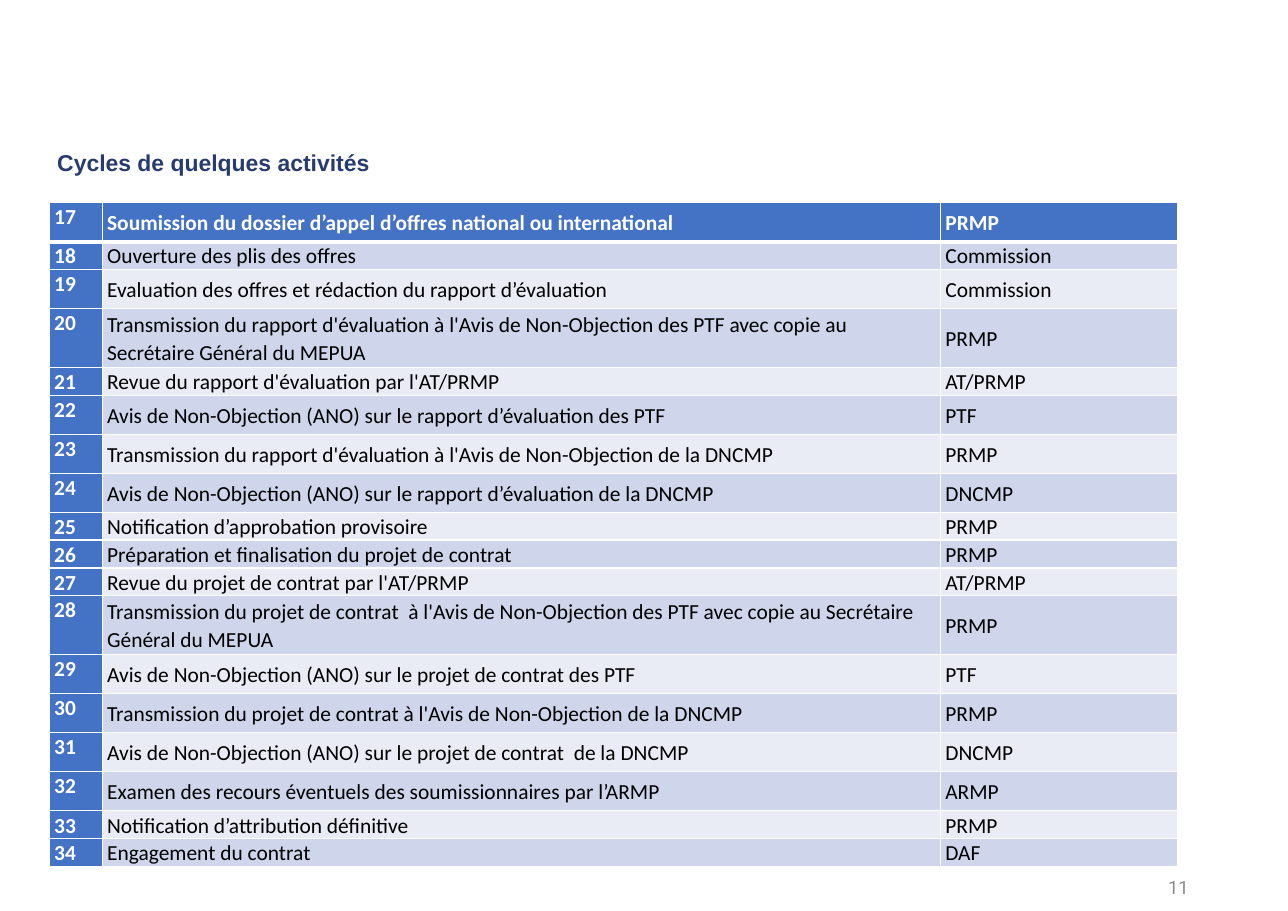
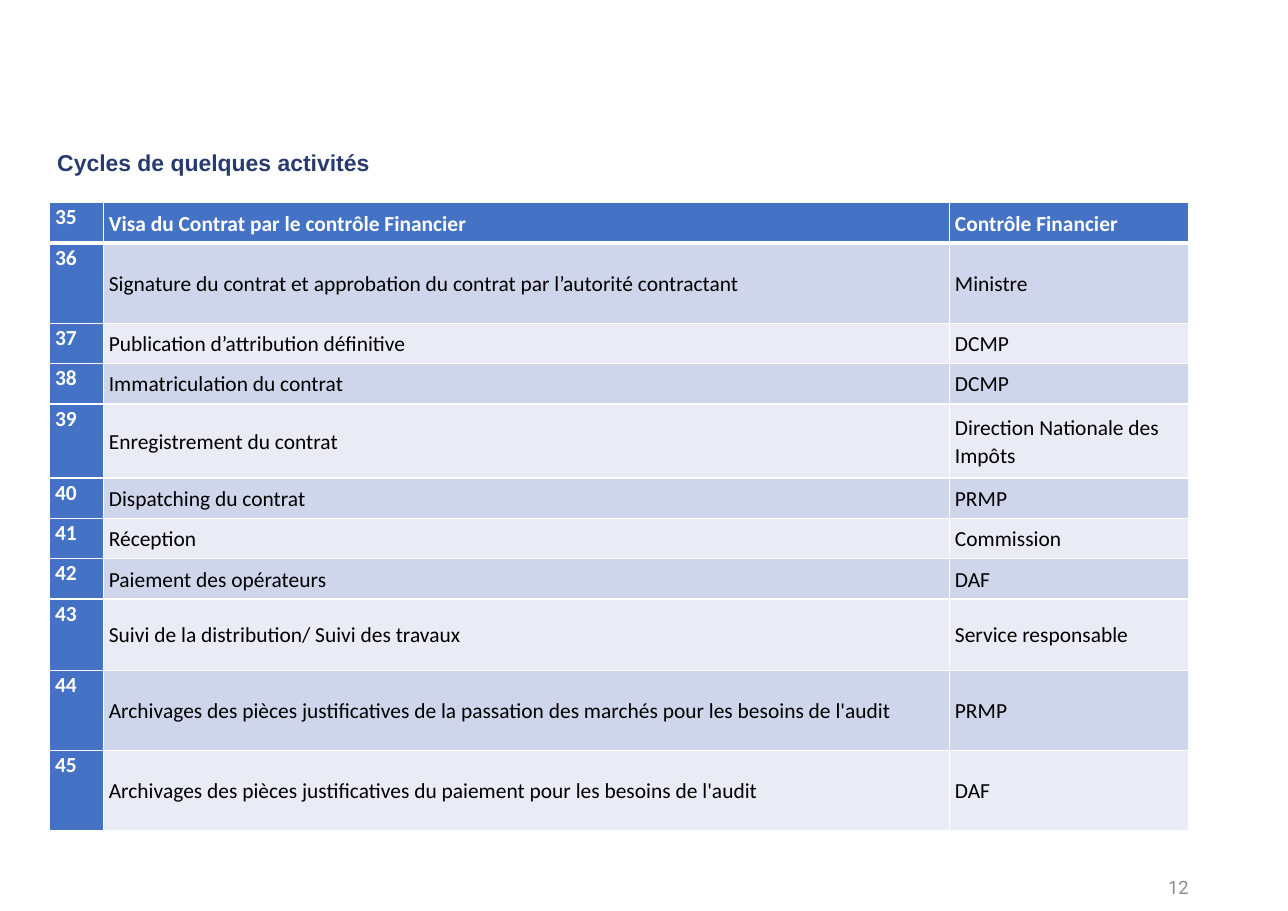
from dataclasses import dataclass

from lxml.etree import SubElement
from pptx import Presentation
from pptx.dml.color import RGBColor
from pptx.enum.text import MSO_ANCHOR, PP_ALIGN
from pptx.oxml.ns import qn
from pptx.util import Cm, Pt


@dataclass(frozen=True)
class Theme:
    heading: str = "273B70"
    accent: str = "4472C4"
    band_dark: str = "CFD5EA"
    band_light: str = "E9EBF5"
    rule: str = "FFFFFF"
    inverse: str = "FFFFFF"
    body: str = "000000"
    muted: str = "8C8C8C"
    heading_font: str = "Arial"
    body_font: str = "Calibri"
    number_font: str = "Roboto"
    heading_size: int = 15
    body_size: int = 14
    number_size: int = 12
    thin_rule: int = 1
    thick_rule: int = 3


THEME = Theme()
HEADING = "Cycles de quelques activités"


@dataclass(frozen=True)
class Cycle:
    page: int
    first_step: int
    columns: tuple
    inset: float
    default_height: float
    special_heights: dict
    steps: tuple


TENDER = Cycle(
    page=11,
    first_step=17,
    columns=(1.22, 19.33, 5.46),
    inset=0.11,
    default_height=0.9,
    special_heights={
        **dict.fromkeys((18, 21, 25, 26, 27, 33, 34), 0.64),
        **dict.fromkeys((20, 28), 1.36),
    },
    steps=(
        ("Soumission du dossier d’appel d’offres national ou international", "PRMP"),
        ("Ouverture des plis des offres", "Commission"),
        ("Evaluation des offres et rédaction du rapport d’évaluation", "Commission"),
        ("Transmission du rapport d'évaluation à l'Avis de Non-Objection des PTF "
         "avec copie au Secrétaire Général du MEPUA", "PRMP"),
        ("Revue du rapport d'évaluation par l'AT/PRMP", "AT/PRMP"),
        ("Avis de Non-Objection (ANO) sur le rapport d’évaluation des PTF", "PTF"),
        ("Transmission du rapport d'évaluation à l'Avis de Non-Objection de la DNCMP", "PRMP"),
        ("Avis de Non-Objection (ANO) sur le rapport d’évaluation de la DNCMP", "DNCMP"),
        ("Notification d’approbation provisoire", "PRMP"),
        ("Préparation et finalisation du projet de contrat", "PRMP"),
        ("Revue du projet de contrat par l'AT/PRMP", "AT/PRMP"),
        ("Transmission du projet de contrat  à l'Avis de Non-Objection des PTF "
         "avec copie au Secrétaire Général du MEPUA", "PRMP"),
        ("Avis de Non-Objection (ANO) sur le projet de contrat des PTF", "PTF"),
        ("Transmission du projet de contrat à l'Avis de Non-Objection de la DNCMP", "PRMP"),
        ("Avis de Non-Objection (ANO) sur le projet de contrat  de la DNCMP", "DNCMP"),
        ("Examen des recours éventuels des soumissionnaires par l’ARMP", "ARMP"),
        ("Notification d’attribution définitive", "PRMP"),
        ("Engagement du contrat", "DAF"),
    ),
)

CONTRACT = Cycle(
    page=12,
    first_step=35,
    columns=(1.24, 19.51, 5.51),
    inset=0.13,
    default_height=0.93,
    special_heights={**dict.fromkeys((36, 44, 45), 1.85), 39: 1.71, 43: 1.64},
    steps=(
        ("Visa du Contrat par le contrôle Financier", "Contrôle Financier"),
        ("Signature du contrat et approbation du contrat par l’autorité contractant", "Ministre"),
        ("Publication d’attribution définitive", "DCMP"),
        ("Immatriculation du contrat", "DCMP"),
        ("Enregistrement du contrat", "Direction Nationale des Impôts"),
        ("Dispatching du contrat", "PRMP"),
        ("Réception", "Commission"),
        ("Paiement des opérateurs", "DAF"),
        ("Suivi de la distribution/ Suivi des travaux", "Service responsable"),
        ("Archivages des pièces justificatives de la passation des marchés "
         "pour les besoins de l'audit", "PRMP"),
        ("Archivages des pièces justificatives du paiement pour les besoins de l'audit", "DAF"),
    ),
)


def add_run(paragraph, wording, font, size, color, bold=False):
    run = paragraph.add_run()
    run.text = wording
    run.font.name = font
    run.font.size = Pt(size)
    run.font.bold = bold
    run.font.color.rgb = RGBColor.from_string(color)


def add_frame(slide, left, top, width, height):
    frame = slide.shapes.add_textbox(Cm(left), Cm(top), Cm(width), Cm(height)).text_frame
    frame.word_wrap = True
    return frame


def add_heading(slide):
    paragraph = add_frame(slide, 1.07, 3.38, 12.52, 0.86).paragraphs[0]
    paragraph.line_spacing = 0.9
    paragraph.space_before = Pt(10)
    add_run(paragraph, HEADING, THEME.heading_font, THEME.heading_size, THEME.heading, True)


def add_page_number(slide, page):
    frame = add_frame(slide, 20.98, 20.05, 6.68, 0.8)
    frame.vertical_anchor = MSO_ANCHOR.MIDDLE
    frame.paragraphs[0].alignment = PP_ALIGN.RIGHT
    add_run(frame.paragraphs[0], str(page), THEME.number_font, THEME.number_size, THEME.muted)


def set_borders(cell, row):
    widths = {
        "a:lnL": THEME.thin_rule,
        "a:lnR": THEME.thin_rule,
        "a:lnT": THEME.thick_rule if row == 1 else THEME.thin_rule,
        "a:lnB": THEME.thick_rule if row == 0 else THEME.thin_rule,
    }
    properties = cell._tc.get_or_add_tcPr()
    for side, width in widths.items():
        border = SubElement(properties, qn(side), w=str(Pt(width)))
        paint = SubElement(border, qn("a:solidFill"))
        SubElement(paint, qn("a:srgbClr"), val=THEME.rule)


def fill_cell(cell, wording, row, column, inset):
    emphasised = row == 0 or column == 0
    band = THEME.band_dark if row % 2 else THEME.band_light
    set_borders(cell, row)
    cell.fill.solid()
    cell.fill.fore_color.rgb = RGBColor.from_string(THEME.accent if emphasised else band)
    cell.margin_left = cell.margin_right = Cm(inset)
    cell.margin_top = cell.margin_bottom = 0
    cell.vertical_anchor = MSO_ANCHOR.MIDDLE if column else MSO_ANCHOR.TOP
    paragraph = cell.text_frame.paragraphs[0]
    paragraph.line_spacing = 1.07
    add_run(paragraph, wording, THEME.body_font, THEME.body_size,
            THEME.inverse if emphasised else THEME.body, emphasised)


def add_steps(slide, cycle):
    heights = [cycle.special_heights.get(number, cycle.default_height)
               for number, _ in enumerate(cycle.steps, cycle.first_step)]
    steps = slide.shapes.add_table(
        len(cycle.steps), len(cycle.columns), Cm(1.14), Cm(4.67),
        Cm(sum(cycle.columns)), Cm(sum(heights))).table
    steps.horz_banding = False
    for column, width in zip(steps.columns, cycle.columns):
        column.width = Cm(width)
    for row, (activity, owner) in enumerate(cycle.steps):
        steps.rows[row].height = Cm(heights[row])
        for column, wording in enumerate((str(cycle.first_step + row), activity, owner)):
            fill_cell(steps.cell(row, column), wording, row, column, cycle.inset)


def main():
    deck = Presentation()
    deck.slide_width, deck.slide_height = Cm(29.7), Cm(21)
    for cycle in (TENDER, CONTRACT):
        slide = deck.slides.add_slide(deck.slide_layouts[6])
        add_heading(slide)
        add_steps(slide, cycle)
        add_page_number(slide, cycle.page)
    deck.save("out.pptx")


if __name__ == "__main__":
    main()
